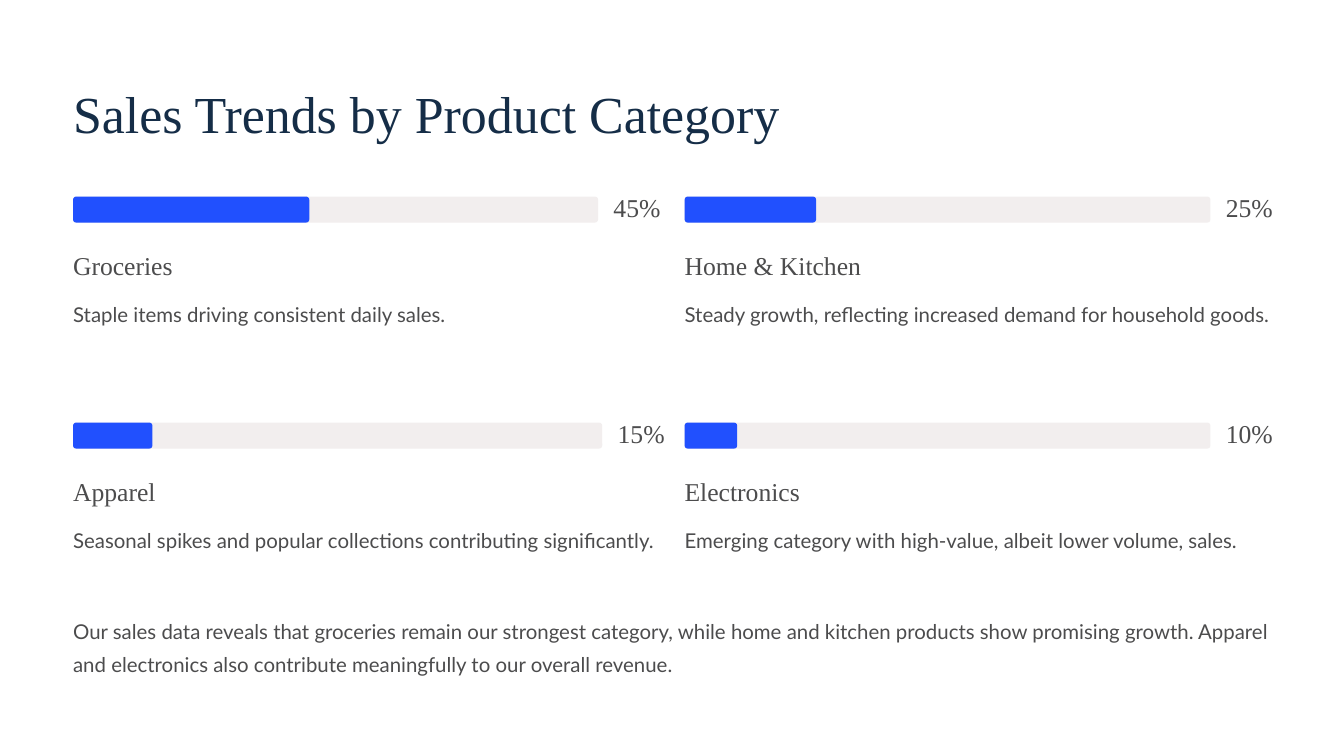
import pptx
import pptx.util
import pptx.dml.color
import pptx.enum.shapes

Pt = pptx.util.Pt

TITLE = "Sales Trends by Product Category"
CATEGORIES = [
    ("Groceries", 45, 450, "Staple items driving consistent daily sales."),
    ("Home & Kitchen", 25, 450.7, "Steady growth, reflecting increased demand for household goods."),
    ("Apparel", 15, 453.6, "Seasonal spikes and popular collections contributing significantly."),
    ("Electronics", 10, 450.7, "Emerging category with high-value, albeit lower volume, sales."),
]
SUMMARY = (
    "Our sales data reveals that groceries remain our strongest category, while home and "
    "kitchen products show promising growth. Apparel and electronics also contribute "
    "meaningfully to our overall revenue."
)
COLORS = {"background": "FFFFFF", "title": "152D47", "text": "4C4C4D", "track": "F2EEEE", "bar": "2150FE"}
SERIF, SANS = "Times New Roman", "Lato"

LEFT, TOP = 62.64, 168.5
COLUMN_STEP, ROW_STEP = 524.2, 193.7
COLUMN_WIDTH, BAR_HEIGHT, LABEL_GAP, LABEL_WIDTH = 502.6, 22.3, 13.2, 43


def rgb(name):
    return pptx.dml.color.RGBColor.from_string(COLORS[name])


def add_text(s, text, x, y, width, height, size, leading, font, color="text"):
    tf = s.shapes.add_textbox(Pt(x), Pt(y), Pt(width), Pt(height)).text_frame
    tf.margin_left = tf.margin_top = tf.margin_right = tf.margin_bottom = 0
    tf.word_wrap = True
    p = tf.paragraphs[0]
    p.text = text
    p.line_spacing = Pt(leading)
    p.font.size = Pt(size)
    p.font.name = font
    p.font.color.rgb = rgb(color)


def add_bar(s, x, y, width, color):
    sp = s.shapes.add_shape(
        pptx.enum.shapes.MSO_SHAPE.ROUNDED_RECTANGLE, Pt(x), Pt(y), Pt(width), Pt(BAR_HEIGHT)
    )
    sp.adjustments[0] = 0.12
    sp.shadow.inherit = False
    sp.fill.solid()
    sp.fill.fore_color.rgb = rgb(color)
    sp.line.fill.background()


def add_category(s, x, y, name, percent, track, description):
    add_bar(s, x, y, track, "track")
    add_bar(s, x, y, track * percent / 100, "bar")
    add_text(s, f"{percent}%", x + track + LABEL_GAP, y, LABEL_WIDTH, BAR_HEIGHT, 22, 22, SERIF)
    add_text(s, name, x, y + 44.6, 223.2, 28.1, 22, 27.5, SERIF)
    add_text(s, description, x, y + 83.3, COLUMN_WIDTH, 28.5, 17.5, 28.5, SANS)


def main():
    """Build the sales trends slide."""
    prs = pptx.Presentation()
    prs.slide_width, prs.slide_height = Pt(1152), Pt(648)
    s = prs.slides.add_slide(prs.slide_layouts[6])
    s.background.fill.solid()
    s.background.fill.fore_color.rgb = rgb("background")

    add_text(s, TITLE, LEFT, 67.7, 614.9, 56.2, 44.5, 55.5, SERIF, "title")
    for i, category in enumerate(CATEGORIES):
        row, column = divmod(i, 2)
        add_category(s, LEFT + column * COLUMN_STEP, TOP + row * ROW_STEP, *category)
    add_text(s, SUMMARY, LEFT, 522.9, COLUMN_STEP + COLUMN_WIDTH, 57, 17.5, 28.5, SANS)
    prs.save("out.pptx")


if __name__ == "__main__":
    main()
